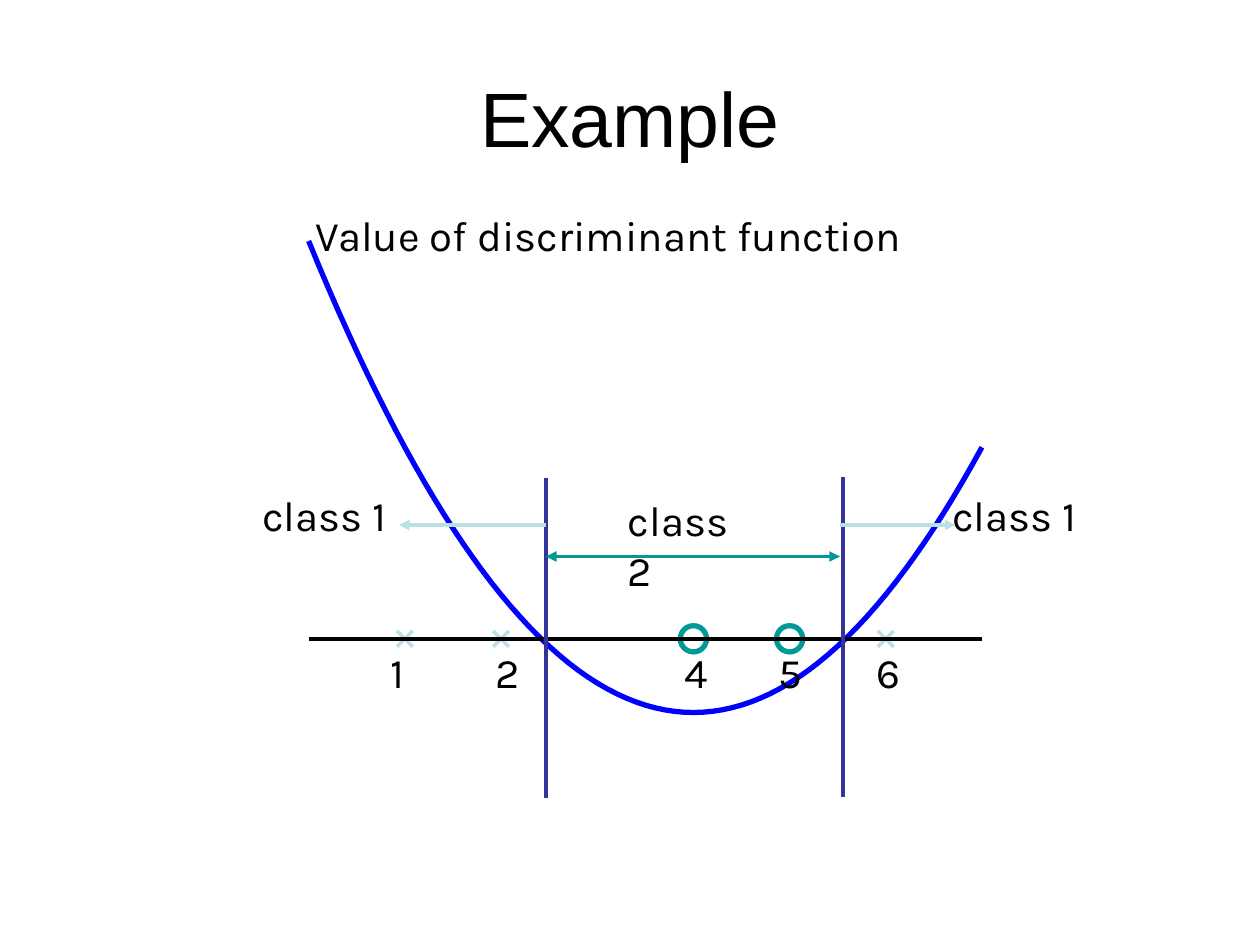
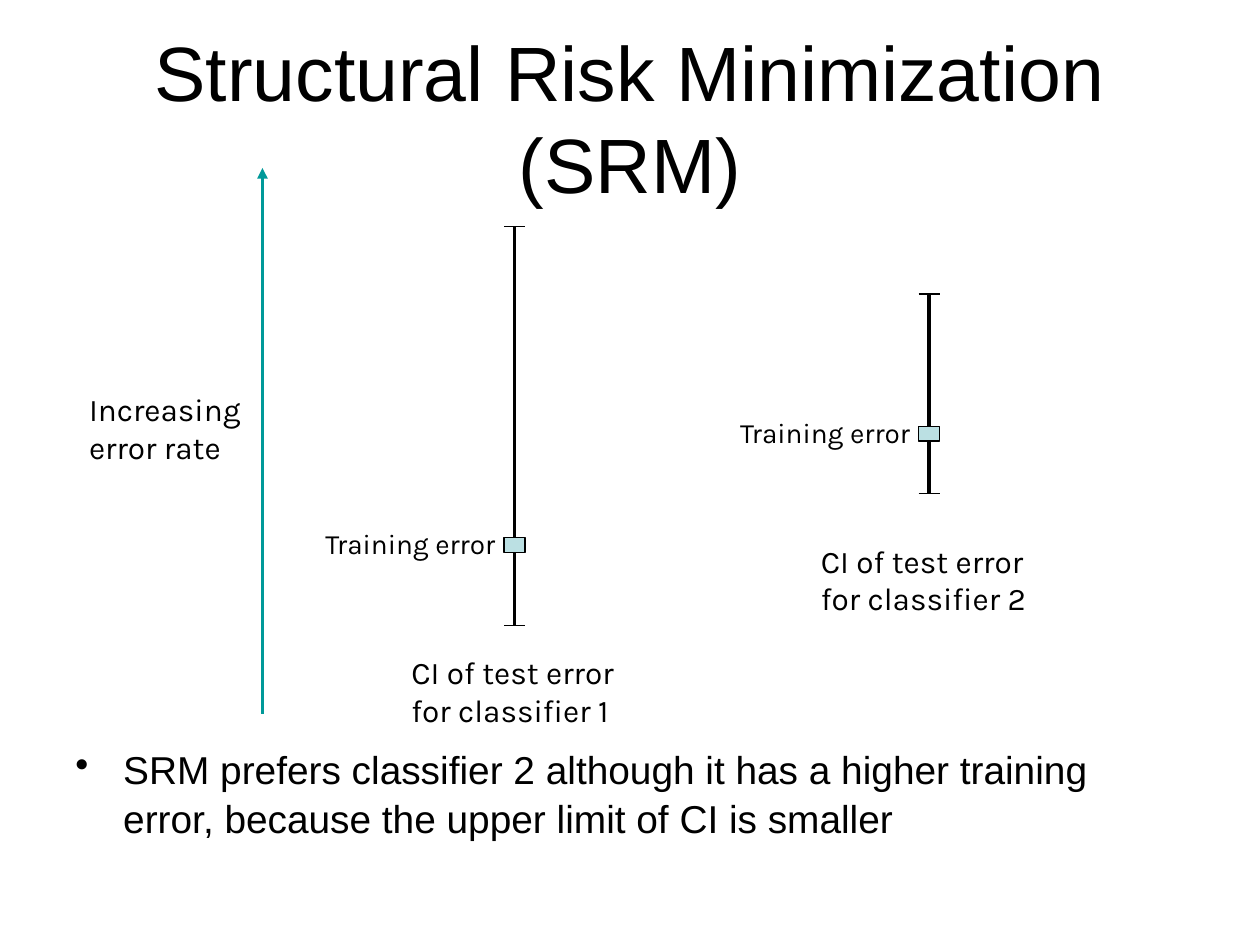
from lxml import etree
from pptx import Presentation
from pptx.dml.color import RGBColor
from pptx.enum.shapes import MSO_CONNECTOR as Connector, MSO_SHAPE as Shape
from pptx.enum.text import MSO_ANCHOR as Anchor, MSO_AUTO_SIZE as AutoSize, PP_ALIGN as Align
from pptx.oxml.ns import qn
from pptx.util import Inches, Pt

# Shared grid: 120 columns by 90 rows
COLUMNS, ROWS = 120, 90
CELL = Inches(10) // COLUMNS

# Shared colours and fonts
rgb = RGBColor.from_string
BLACK, TEAL, PALE, NAVY, BLUE = "000000", "009999", "BBE0E3", "333399", "0000FF"
TITLE_FONT, LABEL_FONT = "Arial", "Karla"


def write(text, box, left, top, width, height, size=24, font=LABEL_FONT,
          align=Align.LEFT, anchor=Anchor.TOP, spacing=None, bullet=None):
    """Place a text box on the grid and fill it, one paragraph a line."""
    box.left, box.top, box.width, box.height = (
        round(cells * CELL) for cells in (left, top, width, height))
    frame = box.text_frame
    frame.text = text
    frame.word_wrap = True
    frame.auto_size = AutoSize.NONE
    frame.vertical_anchor = anchor
    for para in frame.paragraphs:
        para.alignment = align
        if spacing:
            para.line_spacing = spacing
        if bullet:
            properties = para._p.get_or_add_pPr()
            properties.set("marL", str(Inches(0.38)))
            properties.set("indent", str(-Inches(0.38)))
            etree.SubElement(properties, qn("a:buChar"), char=bullet)
        for span in para.runs:
            span.font.name = font
            span.font.size = Pt(size)
            span.font.color.rgb = rgb(color_hex := BLACK)


def draw_line(page, start, end, color, width=2, heads=()):
    """Draw a straight line between two grid points; heads lists its arrow ends."""
    points = [round(cells * CELL) for cells in (*start, *end)]
    line = page.shapes.add_connector(Connector.STRAIGHT, *points)
    line.line.color.rgb = rgb(color)
    line.line.width = Pt(width)
    for head in heads:
        etree.SubElement(line.line._get_or_add_ln(), qn(f"a:{head}"), type="triangle")
    etree.SubElement(line._element.spPr, qn("a:effectLst"))


deck = Presentation()
deck.slide_width, deck.slide_height = COLUMNS * CELL, ROWS * CELL

# Pages with their titles
pages = []
for title in ("Example", "Structural Risk Minimization (SRM)"):
    page = deck.slides.add_slide(deck.slide_layouts[5])
    write(title, page.shapes.title, 6, 3.6, 108, 15, size=44, font=TITLE_FONT,
          align=Align.CENTER, anchor=Anchor.MIDDLE)
    pages.append(page)
example, srm = pages

# Example: scale of the plot
ORIGIN, AXIS, UNIT, VALUE_UNIT = 29.4, 60.84, 9.16, 4.21
LAST_X = 7

# Class 1 points as crosses, class 2 points as rings
CROSS, RING = 0.75, 2.5
for x in (1, 2, 6):
    center = ORIGIN + x * UNIT
    for side in (-CROSS, CROSS):
        draw_line(example, (center - side, AXIS - CROSS),
                  (center + side, AXIS + CROSS), PALE)
for x in (4, 5):
    corner = (ORIGIN + x * UNIT - RING / 2, AXIS - RING / 2)
    ring = example.shapes.add_shape(
        Shape.OVAL, *(round(cells * CELL) for cells in (*corner, RING, RING)))
    ring.shadow.inherit = False
    ring.fill.background()
    ring.line.color.rgb = rgb(TEAL)
    ring.line.width = Pt(3)

# Discriminant function: (2x² - 16x + 27) / 3
curve_points = []
for step in range(LAST_X * 10 + 1):
    x = step / 10
    value = (2 * x * x - 16 * x + 27) / 3
    curve_points.append((round((ORIGIN + x * UNIT) * CELL),
                         round((AXIS - value * VALUE_UNIT) * CELL)))
builder = example.shapes.build_freeform(*curve_points[0])
builder.add_line_segments(curve_points[1:], close=False)
curve = builder.convert_to_shape()
curve.shadow.inherit = False
curve.fill.background()
curve.line.color.rgb = rgb(BLUE)
curve.line.width = Pt(3)

# Axis, its caption and its numbers
draw_line(example, (ORIGIN, AXIS), (ORIGIN + LAST_X * UNIT, AXIS), BLACK, width=0)
labels = [("Value of discriminant function", 28.9, 19.4, 60)]
labels += [(number, left, 61, 4.7) for number, left in
           (("1", 36), ("2", 46), ("4", 64), ("5", 73), ("6", 82.3))]

# Class boundaries, names and ranges
for x, top in ((52, 45.5), (80.3, 45.4)):
    draw_line(example, (x, top), (x, top + 30.5), NAVY)
labels += [("class 2", 58.6, 46.5, 14), ("class 1", 89.5, 46, 16),
           ("class 1", 23.8, 46, 16)]
for text, left, top, width in labels:
    write(text, example.shapes.add_textbox(0, 0, 0, 0), left, top, width, 6)
for start, end, row, color, heads in (
        (52, 38, 50, PALE, ["tailEnd"]),
        (80, 91, 50, PALE, ["tailEnd"]),
        (52, 80, 53, TEAL, ["headEnd", "tailEnd"])):
    draw_line(example, (start, row), (end, row), color, heads=heads)

# SRM: error rate arrow
draw_line(srm, (25, 68), (25, 16), TEAL, heads=["tailEnd"])
write("Increasing\nerror rate", srm.shapes.add_textbox(0, 0, 0, 0),
      7.3, 36.6, 17.2, 8.4, size=18)

# Confidence interval of each classifier
for number, x, top, bottom, error, caption_left, caption_top in (
        (1, 49, 21.6, 59.6, 51.9, 38, 61.6),
        (2, 88.5, 28, 47, 41.3, 77, 51)):
    draw_line(srm, (x, bottom), (x, top), BLACK)
    marker = srm.shapes.add_shape(
        Shape.RECTANGLE, *(round(cells * CELL) for cells in (x - 1, error - 0.7, 2, 1.4)))
    marker.shadow.inherit = False
    marker.fill.solid()
    marker.fill.fore_color.rgb = rgb(PALE)
    marker.line.color.rgb = rgb(BLACK)
    marker.line.width = Pt(0.75)
    for row in (bottom, top):
        draw_line(srm, (x - 1, row), (x + 1, row), BLACK, width=0.75)
    write(f"CI of test error for classifier {number}",
          srm.shapes.add_textbox(0, 0, 0, 0), caption_left, caption_top, 24, 8.4, size=18)
    write("Training error", srm.shapes.add_textbox(0, 0, 0, 0),
          x - 19.2, error - 2.3, 19.8, 4.4, size=16)

# Conclusion
write("SRM prefers classifier 2 although it has a higher training error, "
      "because the upper limit of CI is smaller",
      srm.shapes.add_textbox(0, 0, 0, 0), 6, 70.2, 108, 10.2,
      size=22.2, font=TITLE_FONT, spacing=1.05, bullet="•")

deck.save("out.pptx")
